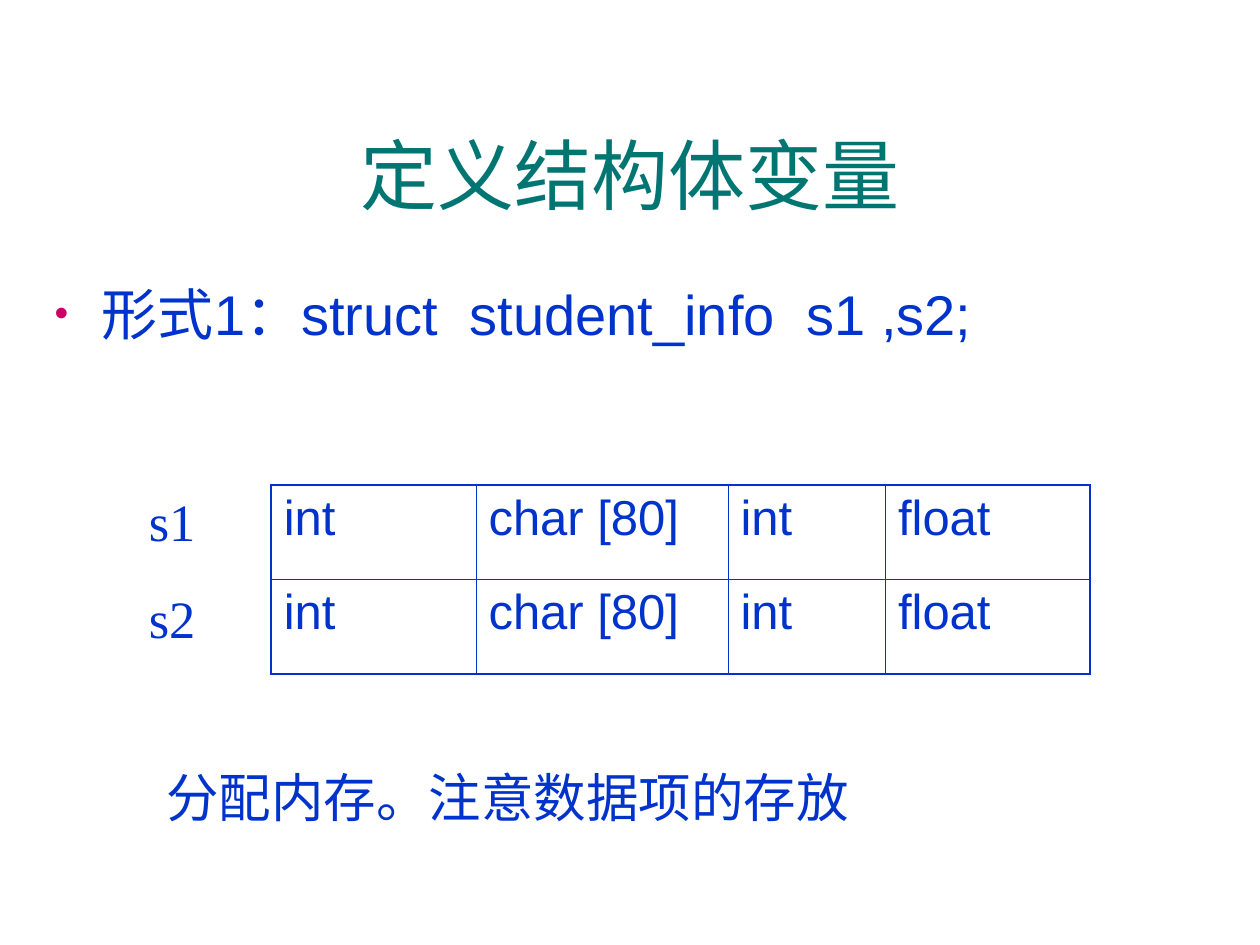
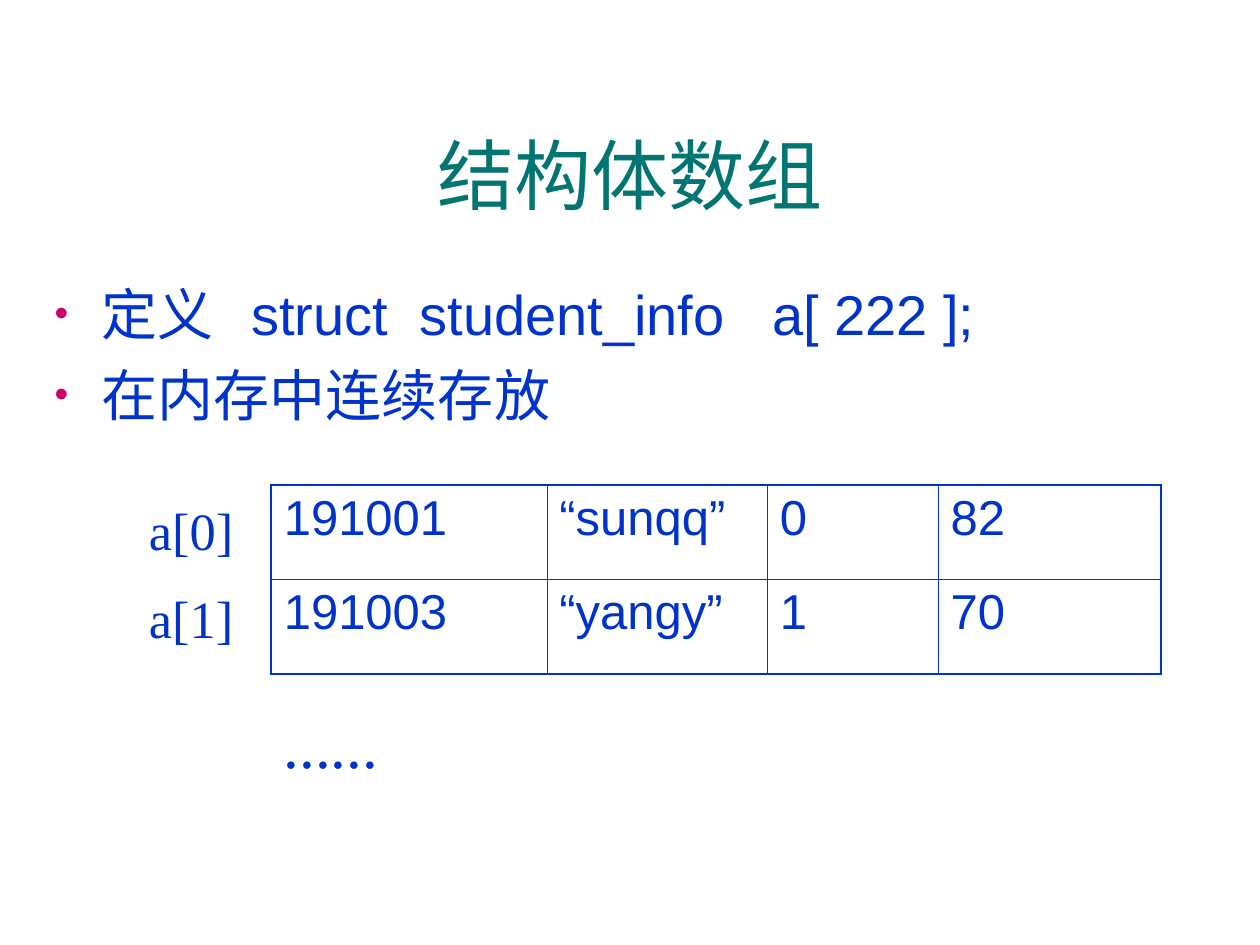
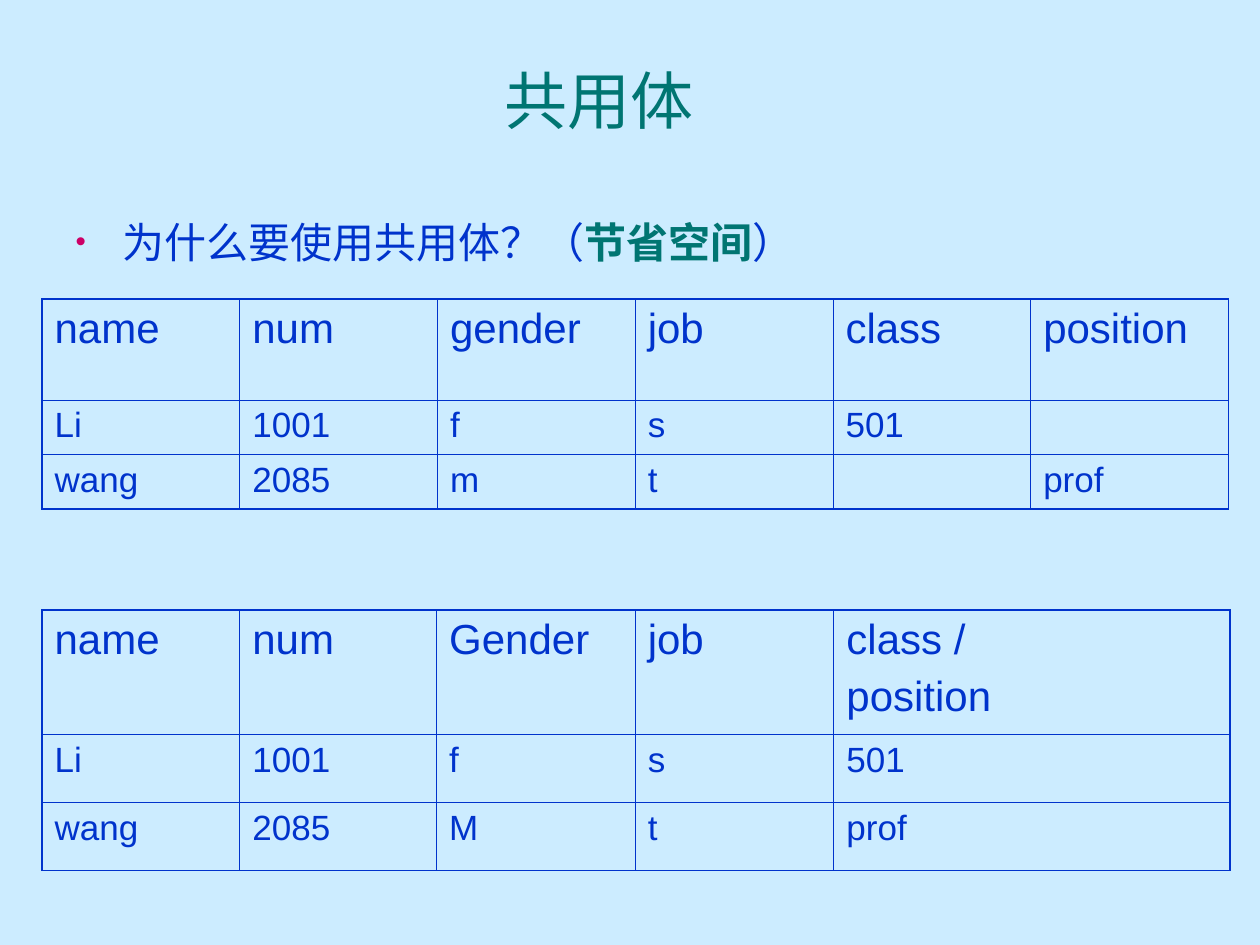
from dataclasses import dataclass
from lxml.etree import SubElement
from pptx import Presentation
from pptx.dml.color import RGBColor as RGB
from pptx.enum.text import MSO_ANCHOR as Anchor, MSO_AUTO_SIZE as Auto, PP_ALIGN as Align
from pptx.oxml.ns import qn
from pptx.util import Pt


@dataclass(frozen=True)
class Theme:
    ink: str = "0033CC"
    head: str = "007572"
    dot: str = "CC0066"
    white: str = "FFFFFF"
    sky: str = "CCECFF"
    sans: str = "Arial"
    serif: str = "Times New Roman"
    label: int = 30
    thick: float = 1.08
    thin: float = 0.45


T = Theme()

# Content: boxes are (left, top, width, height) in points
GAP = (" ", {"track": 9})
MID = (" ", {"track": 14})
WIDE = (" ", {"track": 18})
TOP = {"title_box": (24, 54, 672, 90), "title_size": 44,
       "list_box": (24, 156, 672, 306), "list_size": 32, "back": T.white}

SLIDES = [
    {**TOP, "title": "定义结构体变量",
     "list": [["形式1：struct", GAP, "student_info", GAP, "s1 ,s2;"]],
     "tables": [{"at": (155, 277), "cols": [117, 144, 90, 117], "rows": [54, 54],
                 "sizes": [28, 28],
                 "cells": [["int", "char [80]", "int", "float"]] * 2}],
     "labels": [("s1", (78, 276, 44, 43), T.label),
                ("s2", (78, 331.5, 44, 43), T.label),
                ("分配内存。注意数据项的存放", (88, 433.5, 416, 43), T.label)]},
    {**TOP, "title": "结构体数组",
     "list": [["定义", MID, "struct", GAP, "student_info", WIDE, "a[ 222 ];"],
              ["在内存中连续存放"]],
     "tables": [{"at": (155, 277), "cols": [157.5, 126, 97.5, 127.5], "rows": [54, 54],
                 "sizes": [28, 28],
                 "cells": [["191001", "“sunqq”", "0", "82"],
                           ["191003", "“yangy”", "1", "70"]]}],
     "labels": [("a[0]", (78, 281, 66, 43), T.label),
                ("a[1]", (78, 331.5, 66, 43), T.label),
                ("......", (155, 399.5, 76, 50), 36)]},
    {"title": "共用体", "title_box": (36, 12, 612, 90), "title_size": 36,
     "list_box": (36, 120, 612, 324), "list_size": 24, "back": T.sky,
     "list": [["为什么要使用共用体？（", ("节省空间", {"color": T.head, "bold": True}), "）"]],
     "tables": [{"at": (24, 171), "cols": [113] * 6, "rows": [57.5, 31.25, 31.25],
                 "sizes": [24, 20, 20],
                 "cells": [["name", "num", "gender", "job", "class", "position"],
                           ["Li", "1001", "f", "s", "501", ""],
                           ["wang", "2085", "m", "t", "", "prof"]]},
                {"at": (24, 348.5), "cols": [113, 112.5, 113.5, 113.5, 226.5],
                 "rows": [71, 39, 39], "sizes": [24, 20, 20],
                 "cells": [["name", "num", "Gender", "job", "class /\nposition"],
                           ["Li", "1001", "f", "s", "501"],
                           ["wang", "2085", "M", "t", "prof"]]}],
     "labels": []},
]


# Text
def add_dot(para):
    props = para._p.get_or_add_pPr()
    props.set("marL", str(Pt(27)))
    props.set("indent", str(Pt(-27)))
    tint = SubElement(props, qn("a:buClr"))
    SubElement(tint, qn("a:srgbClr")).set("val", T.dot)
    SubElement(props, qn("a:buSzPct")).set("val", "70000")
    SubElement(props, qn("a:buFont")).set("typeface", T.sans)
    SubElement(props, qn("a:buChar")).set("char", "•")


def style(font, size, face, color, bold=False):
    font.size, font.name, font.bold = Pt(size), face, bold
    font.color.rgb = RGB.from_string(color)


def write(frame, paras, size, face=T.sans, color=T.ink, align=Align.LEFT, dots=False):
    """Fill a frame; each paragraph is a list of strings or (string, format) pairs."""
    for i, parts in enumerate(paras):
        para = frame.paragraphs[0] if i == 0 else frame.add_paragraph()
        if dots:
            add_dot(para)
        para.alignment = align
        para.space_before = Pt(size / 4 if i else 0)
        style(para.font, size, face, color)
        for part in parts:
            words, extra = (part, {}) if isinstance(part, str) else part
            run = para.add_run()
            run.text = words
            style(run.font, size, face, extra.get("color", color), extra.get("bold", False))
            if "track" in extra:
                run._r.get_or_add_rPr().set("spc", str(extra["track"] * 100))


def place(shape, box, anchor):
    shape.left, shape.top, shape.width, shape.height = map(Pt, box)
    frame = shape.text_frame
    frame.auto_size, frame.word_wrap = Auto.NONE, True
    frame.vertical_anchor = anchor
    return frame


def add_label(slide, words, box, size):
    frame = slide.shapes.add_textbox(*map(Pt, box)).text_frame
    frame.word_wrap = True
    write(frame, [[words]], size, face=T.serif)


# Tables: thick outside, thin inside
def edge(cell, tag, width):
    line = SubElement(cell._tc.get_or_add_tcPr(), qn(f"a:{tag}"), w=str(Pt(width)))
    fill = SubElement(line, qn("a:solidFill"))
    SubElement(fill, qn("a:srgbClr")).set("val", T.ink)


def add_grid(slide, at, cols, rows, sizes, cells):
    box = (*at, sum(cols), sum(rows))
    grid = slide.shapes.add_table(len(rows), len(cols), *map(Pt, box)).table
    grid.first_row = grid.horz_banding = False
    for col, width in zip(grid.columns, cols):
        col.width = Pt(width)
    for r, (row, high) in enumerate(zip(grid.rows, rows)):
        row.height = Pt(high)
        for c, words in enumerate(cells[r]):
            cell = grid.cell(r, c)
            outer = {"lnL": c == 0, "lnR": c == len(cols) - 1,
                     "lnT": r == 0, "lnB": r == len(rows) - 1}
            for tag, thick in outer.items():
                edge(cell, tag, T.thick if thick else T.thin)
            cell.fill.background()
            paras = [[line] if line else [] for line in words.split("\n")]
            write(cell.text_frame, paras, sizes[r])


# Slides
def main():
    deck = Presentation()
    deck.slide_width, deck.slide_height = Pt(720), Pt(540)
    for page in SLIDES:
        slide = deck.slides.add_slide(deck.slide_layouts[1])
        back = slide.background.fill
        back.solid()
        back.fore_color.rgb = RGB.from_string(page["back"])
        title, body = slide.placeholders
        write(place(title, page["title_box"], Anchor.MIDDLE), [[page["title"]]],
              page["title_size"], color=T.head, align=Align.CENTER)
        write(place(body, page["list_box"], Anchor.TOP), page["list"],
              page["list_size"], dots=True)
        for table in page["tables"]:
            add_grid(slide, **table)
        for label in page["labels"]:
            add_label(slide, *label)
    deck.save("out.pptx")


if __name__ == "__main__":
    main()
